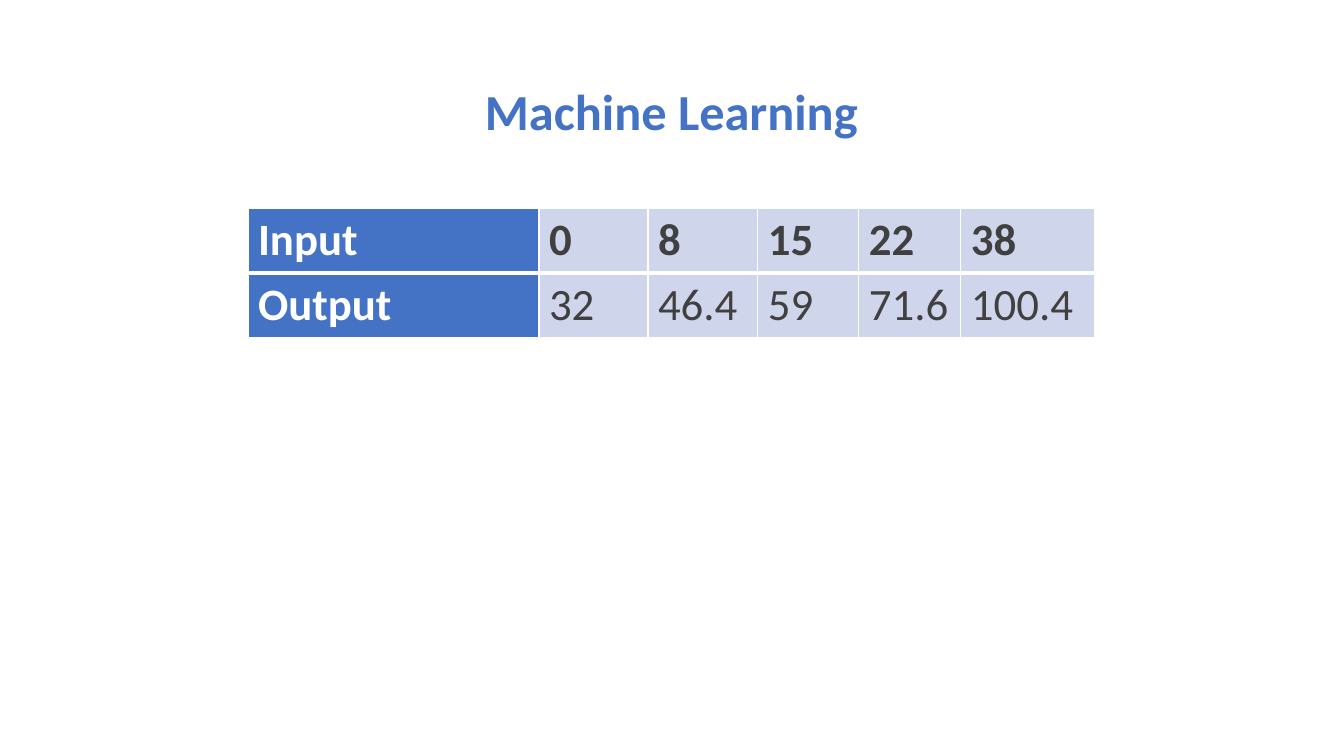
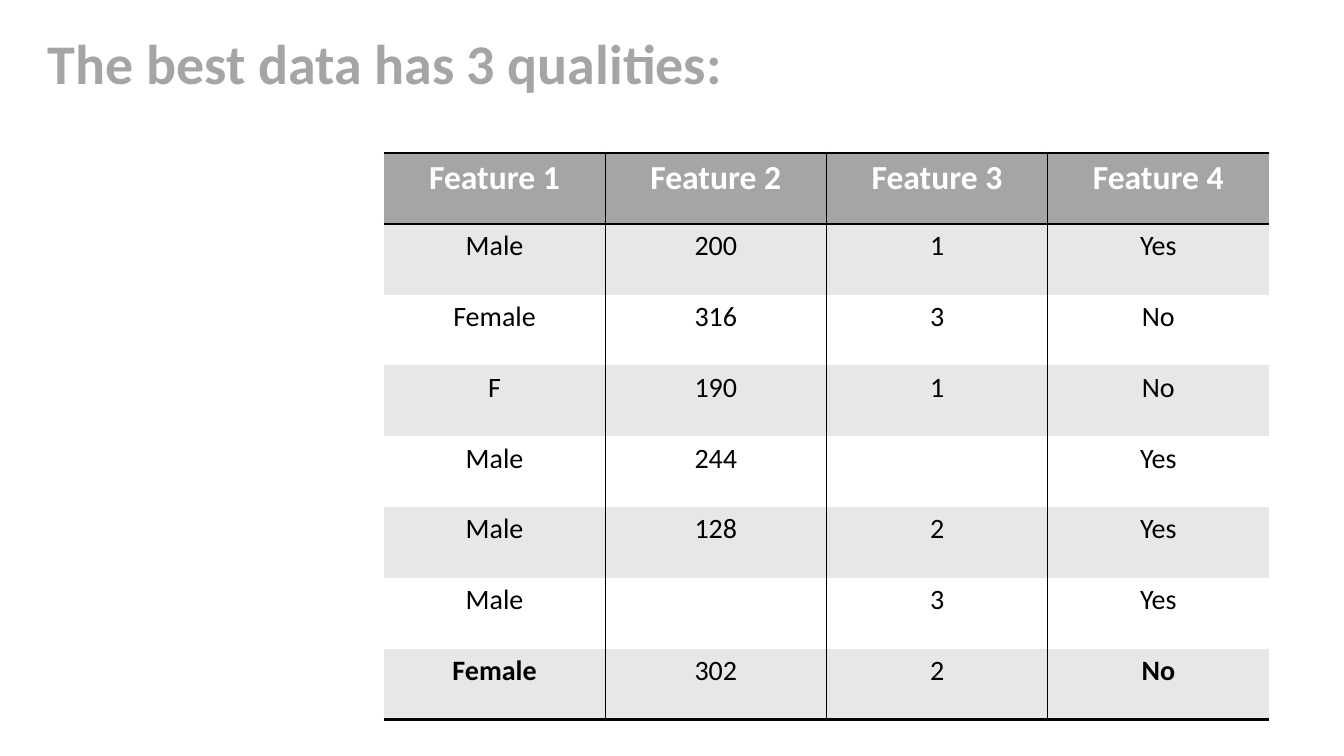
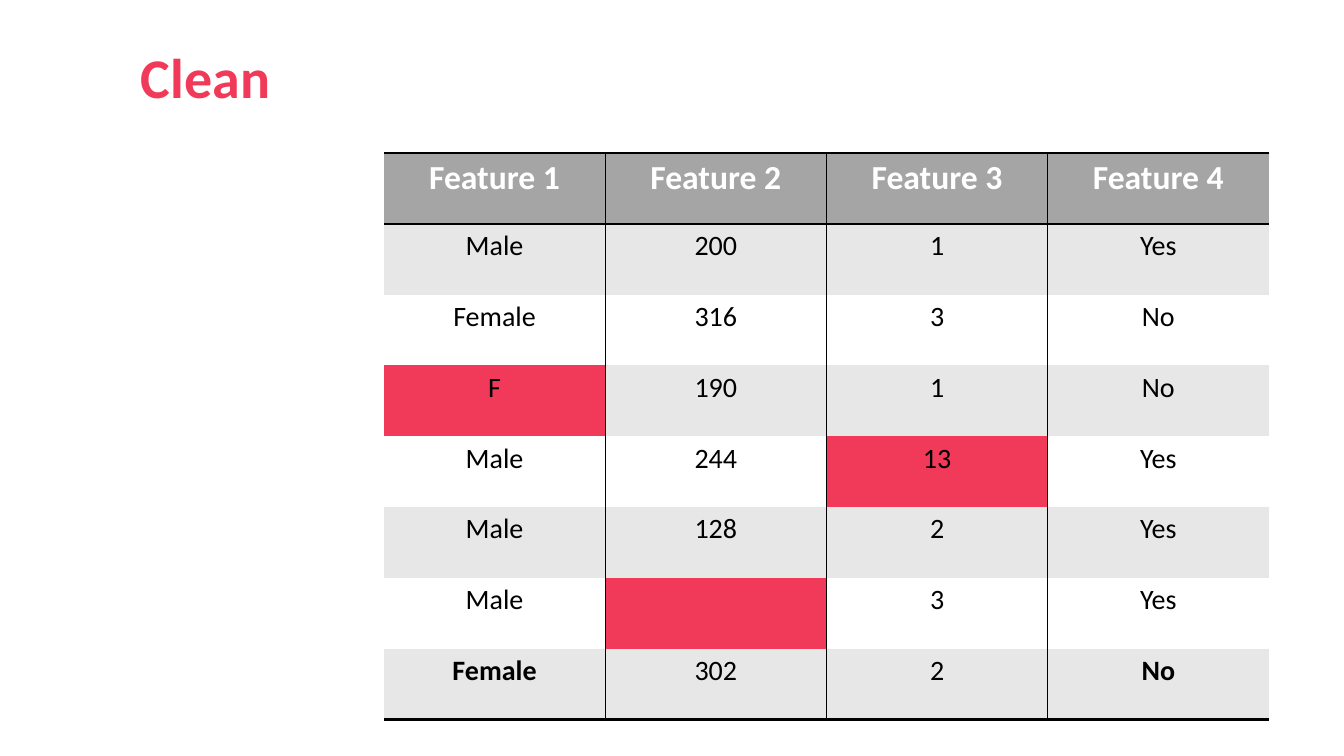
"""Build three slides on machine learning data: a small table and two feature grids."""
from dataclasses import dataclass

from lxml.etree import SubElement
from pptx import Presentation
from pptx.dml.color import RGBColor
from pptx.enum.text import MSO_ANCHOR, MSO_AUTO_SIZE, PP_ALIGN
from pptx.oxml.ns import qn
from pptx.util import Emu, Pt


@dataclass(frozen=True)
class Theme:
    font: str = "Calibri"
    blue: str = "4472C4"
    pale_blue: str = "CFD5EA"
    dark: str = "404040"
    grey: str = "A5A5A5"
    pale_grey: str = "E7E7E7"
    red: str = "F13959"
    white: str = "FFFFFF"
    black: str = "000000"
    title: int = 40
    small_title: int = 36
    big_cell: int = 32
    header: int = 24
    body: int = 20


T = Theme()
SLIDE_W, SLIDE_H = 1344, 756
SCALE = 12192000 / SLIDE_W


def px(n):
    return Emu(round(n * SCALE))


def style_cell(cell, text, size, color, bold, align, fill, line, edges):
    tc_pr = cell._tc.get_or_add_tcPr()
    for side, width in zip("LRTB", edges):
        ln = SubElement(tc_pr, qn(f"a:ln{side}"), w=str(Pt(width)))
        if width:
            SubElement(SubElement(ln, qn("a:solidFill")), qn("a:srgbClr"), val=line)
        else:
            SubElement(ln, qn("a:noFill"))
    cell.fill.solid()
    cell.fill.fore_color.rgb = RGBColor.from_string(fill)
    cell.text_frame.text = text
    p = cell.text_frame.paragraphs[0]
    p.alignment = align
    for r in p.runs:
        r.font.name = T.font
        r.font.size = Pt(size)
        r.font.bold = bold
        r.font.color.rgb = RGBColor.from_string(color)


prs = Presentation()
prs.slide_width, prs.slide_height = px(SLIDE_W), px(SLIDE_H)

titles = [
    ("Machine Learning", (300, 75, 743, 72), T.small_title, T.blue),
    ("The best data has 3 qualities:", (-32, 23, 834, 78), T.title, T.grey),
    ("Clean", (130, 37, 151, 78), T.title, T.red),
]
slides = []
for text, box, size, color in titles:
    s = prs.slides.add_slide(prs.slide_layouts[5])
    slides.append(s)
    sp = s.shapes.title
    sp.left, sp.top, sp.width, sp.height = map(px, box)
    tf = sp.text_frame
    tf.text = text
    tf.word_wrap = True
    tf.auto_size = MSO_AUTO_SIZE.NONE
    tf.vertical_anchor = MSO_ANCHOR.TOP
    tf.margin_left = tf.margin_right = 0
    p = tf.paragraphs[0]
    p.alignment = PP_ALIGN.CENTER
    r = p.runs[0]
    r.font.name = T.font
    r.font.size = Pt(size)
    r.font.bold = True
    r.font.color.rgb = RGBColor.from_string(color)

samples = [
    ["Input", "0", "8", "15", "22", "38"],
    ["Output", "32", "46.4", "59", "71.6", "100.4"],
]
col_widths = [291, 109, 110, 101, 102, 134]
table = slides[0].shapes.add_table(
    len(samples), len(col_widths), px(248), px(208), px(sum(col_widths)), px(128)
).table
table.first_row = table.horz_banding = False
for col, width in zip(table.columns, col_widths):
    col.width = px(width)
for i, row in enumerate(samples):
    edges = (1, 1, 3, 1) if i else (1, 1, 1, 3)
    for j, text in enumerate(row):
        label = j == 0
        style_cell(
            table.cell(i, j), text, T.big_cell,
            T.white if label else T.dark, label or i == 0, PP_ALIGN.LEFT,
            T.blue if label else T.pale_blue, T.white, edges,
        )

features = [
    ["Feature 1", "Feature 2", "Feature 3", "Feature 4"],
    ["Male", "200", "1", "Yes"],
    ["Female", "316", "3", "No"],
    ["F", "190", "1", "No"],
    ["Male", "244", "", "Yes"],
    ["Male", "128", "2", "Yes"],
    ["Male", "", "3", "Yes"],
    ["Female", "302", "2", "No"],
]
n_rows, n_cols = len(features), len(features[0])
last_row, last_col = n_rows - 1, n_cols - 1
bold_cells = {(last_row, 0), (last_row, last_col)}
grids = [
    (slides[1], {}),
    (slides[2], {(3, 0): "F", (4, 2): "13", (6, 1): ""}),
]
for s, flagged in grids:
    table = s.shapes.add_table(
        n_rows, n_cols, px(384), px(153), px(885), px(567)
    ).table
    table.first_row = table.horz_banding = False
    for i, row in enumerate(features):
        for j, text in enumerate(row):
            head = i == 0
            if head:
                fill = T.grey
            elif (i, j) in flagged:
                fill = T.red
            else:
                fill = T.pale_grey if i % 2 else T.white
            edges = (
                1 if j > 0 else 0,
                1 if j < last_col else 0,
                2 if i in (0, 1) else 0,
                2 if i in (0, last_row) else 0,
            )
            style_cell(
                table.cell(i, j), flagged.get((i, j), text),
                T.header if head else T.body, T.white if head else T.black,
                head or (i, j) in bold_cells, PP_ALIGN.CENTER, fill, T.black, edges,
            )

prs.save("out.pptx")
